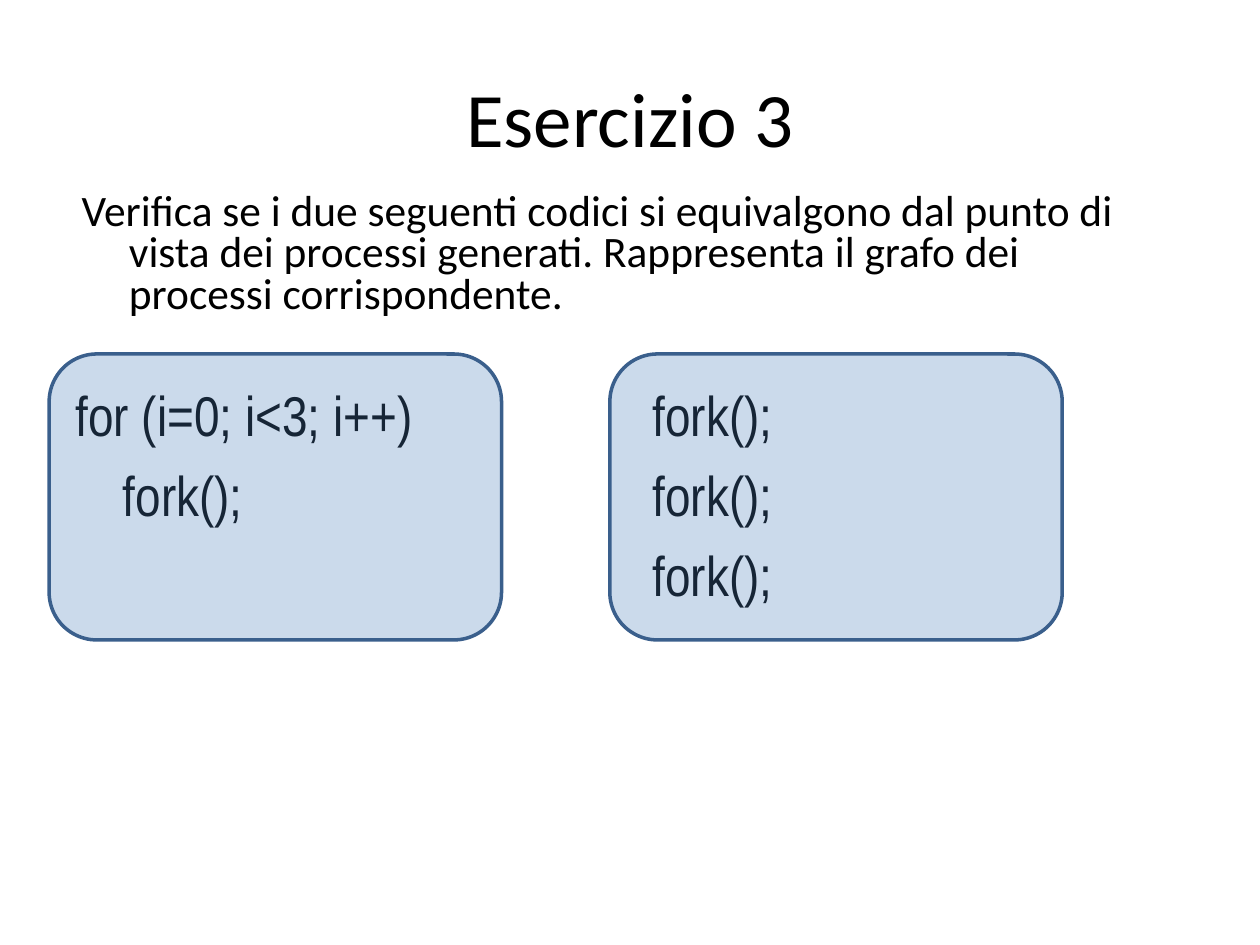
import pptx
import pptx.util
import pptx.dml.color
import pptx.enum.shapes
import pptx.enum.text
import pptx.oxml.ns
import lxml.etree

Pt = pptx.util.Pt
ENUM = pptx.enum.text

# Content
TITLE = "Esercizio 3"
TASK = ("Verifica se i due seguenti codici si equivalgono dal punto di vista "
        "dei processi generati. Rappresenta il grafo dei processi corrispondente.")
# Each code line: (text, indented)
LOOP_CODE = [("for (i=0; i<3; i++)", False), ("fork();", True)]
PLAIN_CODE = [("fork();", False)] * 3

# Style and layout in points
COLORS = {"text": "000000", "box": "4F81BD", "border": "3A5F8C"}
BOX_ALPHA = 29
HANG = 27
TITLE_AREA = (36, 21.6, 648, 90)
TASK_AREA = (39.6, 106.6, 616.3, 84.2)
CODE_AREAS = [(36, 213.8, 273.6, 268.6), (365.8, 213.8, 273.6, 280)]
BOX_LEFTS = [28.1, 348.5]
BOX_TOP, BOX_W, BOX_H = 202.3, 258.5, 163.4


def rgb(name):
    return pptx.dml.color.RGBColor.from_string(COLORS[name])


def place(sp, area):
    sp.left, sp.top, sp.width, sp.height = (Pt(v) for v in area)


def prepare(sp, anchor):
    tf = sp.text_frame
    tf.word_wrap = True
    tf.auto_size = ENUM.MSO_AUTO_SIZE.NONE
    tf.vertical_anchor = anchor
    return tf


def add_text(p, text, font, size):
    r = p.add_run()
    r.text = text
    r.font.name = font
    r.font.size = Pt(size)
    r.font.color.rgb = rgb("text")


def set_indent(p, left, first):
    pPr = p._p.get_or_add_pPr()
    pPr.set("marL", str(Pt(left)))
    pPr.set("indent", str(Pt(first)))
    lxml.etree.SubElement(pPr, pptx.oxml.ns.qn("a:buNone"))


def fill_code(sp, lines):
    tf = prepare(sp, ENUM.MSO_ANCHOR.TOP)
    for i, (text, indented) in enumerate(lines):
        p = tf.add_paragraph() if i else tf.paragraphs[0]
        p.space_before = Pt(7.4)
        set_indent(p, HANG, 0 if indented else -HANG)
        add_text(p, text, "Arial Narrow", 32)


prs = pptx.Presentation()
prs.slide_width, prs.slide_height = Pt(720), Pt(540)
s = prs.slides.add_slide(prs.slide_layouts[1])

# Title
title = s.shapes.title
place(title, TITLE_AREA)
p = prepare(title, ENUM.MSO_ANCHOR.MIDDLE).paragraphs[0]
p.alignment = ENUM.PP_ALIGN.CENTER
add_text(p, TITLE, "Calibri", 44)

# The two code listings
body = s.placeholders[1]
place(body, CODE_AREAS[0])
fill_code(body, LOOP_CODE)
fill_code(s.shapes.add_textbox(*(Pt(v) for v in CODE_AREAS[1])), PLAIN_CODE)

# Task description
task = s.shapes.add_textbox(*(Pt(v) for v in TASK_AREA))
p = prepare(task, ENUM.MSO_ANCHOR.TOP).paragraphs[0]
p.line_spacing = 0.8
p.space_before = Pt(6)
set_indent(p, HANG, -HANG)
add_text(p, TASK, "Calibri", 24.8)

# Translucent rounded boxes over the code
for left in BOX_LEFTS:
    sp = s.shapes.add_shape(pptx.enum.shapes.MSO_SHAPE.ROUNDED_RECTANGLE,
                            Pt(left), Pt(BOX_TOP), Pt(BOX_W), Pt(BOX_H))
    sp.shadow.inherit = False
    sp.fill.solid()
    sp.fill.fore_color.rgb = rgb("box")
    color = sp._element.spPr.find(".//" + pptx.oxml.ns.qn("a:srgbClr"))
    alpha = lxml.etree.SubElement(color, pptx.oxml.ns.qn("a:alpha"))
    alpha.set("val", str(BOX_ALPHA * 1000))
    sp.line.color.rgb = rgb("border")
    sp.line.width = Pt(2)

prs.save("out.pptx")
